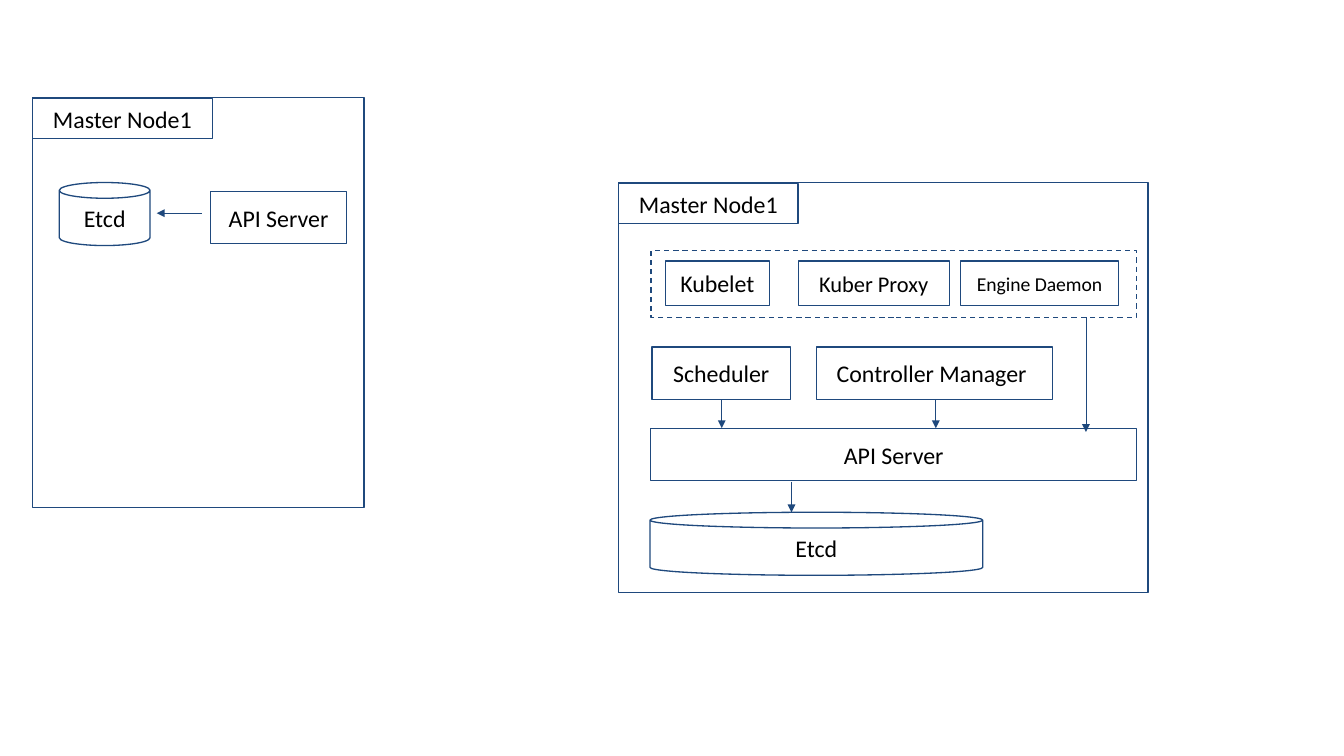
from pptx import Presentation
from pptx.dml.color import RGBColor
from pptx.enum.dml import MSO_LINE
from pptx.enum.shapes import MSO_CONNECTOR, MSO_SHAPE
from pptx.enum.text import MSO_ANCHOR, PP_ALIGN
from pptx.oxml.ns import qn
from pptx.util import Inches, Pt
from lxml import etree

RECT, CAN = MSO_SHAPE.RECTANGLE, MSO_SHAPE.CAN
STRAIGHT = MSO_CONNECTOR.STRAIGHT
DASH = MSO_LINE.DASH
MIDDLE, CENTER = MSO_ANCHOR.MIDDLE, PP_ALIGN.CENTER
COLORS = {"line": "1F497D", "text": "000000"}
FONT = "Calibri"

prs = Presentation()
prs.slide_width, prs.slide_height = Inches(14.06), Inches(7.91)
s = prs.slides.add_slide(prs.slide_layouts[6])


def add_box(text, x, y, w, h, parent=s, kind=RECT, size=18, weight=1, dash=None):
    sp = parent.shapes.add_shape(kind, Inches(x), Inches(y), Inches(w), Inches(h))
    sp.shadow.inherit = False
    sp.fill.background()
    sp.line.color.rgb = RGBColor.from_string(COLORS["line"])
    sp.line.width = Pt(weight)
    if dash:
        sp.line.dash_style = dash
    if text:
        tf = sp.text_frame
        tf.word_wrap = True
        tf.vertical_anchor = MIDDLE
        p = tf.paragraphs[0]
        p.alignment = CENTER
        r = p.add_run()
        r.text = text
        r.font.name, r.font.size = FONT, Pt(size)
        r.font.color.rgb = RGBColor.from_string(COLORS["text"])


def add_arrow(x1, y1, x2, y2):
    c = s.shapes.add_connector(STRAIGHT, Inches(x1), Inches(y1), Inches(x2), Inches(y2))
    c.line.color.rgb = RGBColor.from_string(COLORS["line"])
    c.line.width = Pt(0.5)
    etree.SubElement(c.line._get_or_add_ln(), qn("a:tailEnd"), type="triangle")
    etree.SubElement(c._element.spPr, qn("a:effectLst"))


# Node frames, each grouped with its name tab
for x, y, w in [(0.34, 1.02, 3.47), (6.47, 1.91, 5.54)]:
    node = s.shapes.add_group_shape()
    add_box("", x, y, w, 4.29, parent=node)
    add_box("Master Node1", x, y + 0.01, 1.88, 0.42, parent=node)

# API servers and their stores
for x, y, w in [(2.2, 2, 1.43), (6.81, 4.48, 5.08)]:
    add_box("API Server", x, y, w, 0.55, weight=0.75)
for x, y, w in [(0.62, 1.91, 0.95), (6.8, 5.36, 3.48)]:
    add_box("Etcd", x, y, w, 0.66, kind=CAN)

# Control plane components
for text, x, w in [("Scheduler", 6.82, 1.45), ("Controller Manager ", 8.54, 2.47)]:
    add_box(text, x, 3.63, w, 0.55)

# Node agents inside a dashed frame
agents = s.shapes.add_group_shape()
for text, x, w, size in [
    ("Kubelet", 6.96, 1.09, 18),
    ("Kuber Proxy", 8.35, 1.58, 16.9),
    ("Engine Daemon", 10.05, 1.65, 14.8),
]:
    add_box(text, x, 2.73, w, 0.47, parent=agents, size=size)
add_box("", 6.81, 2.62, 5.08, 0.7, parent=agents, dash=DASH)

# Calls between components
add_arrow(2.11, 2.23, 1.64, 2.23)
for x, top, bottom in [
    (8.28, 5.04, 5.36),
    (7.55, 4.19, 4.48),
    (9.79, 4.19, 4.48),
    (11.36, 3.32, 4.52),
]:
    add_arrow(x, top, x, bottom)

prs.save("out.pptx")
